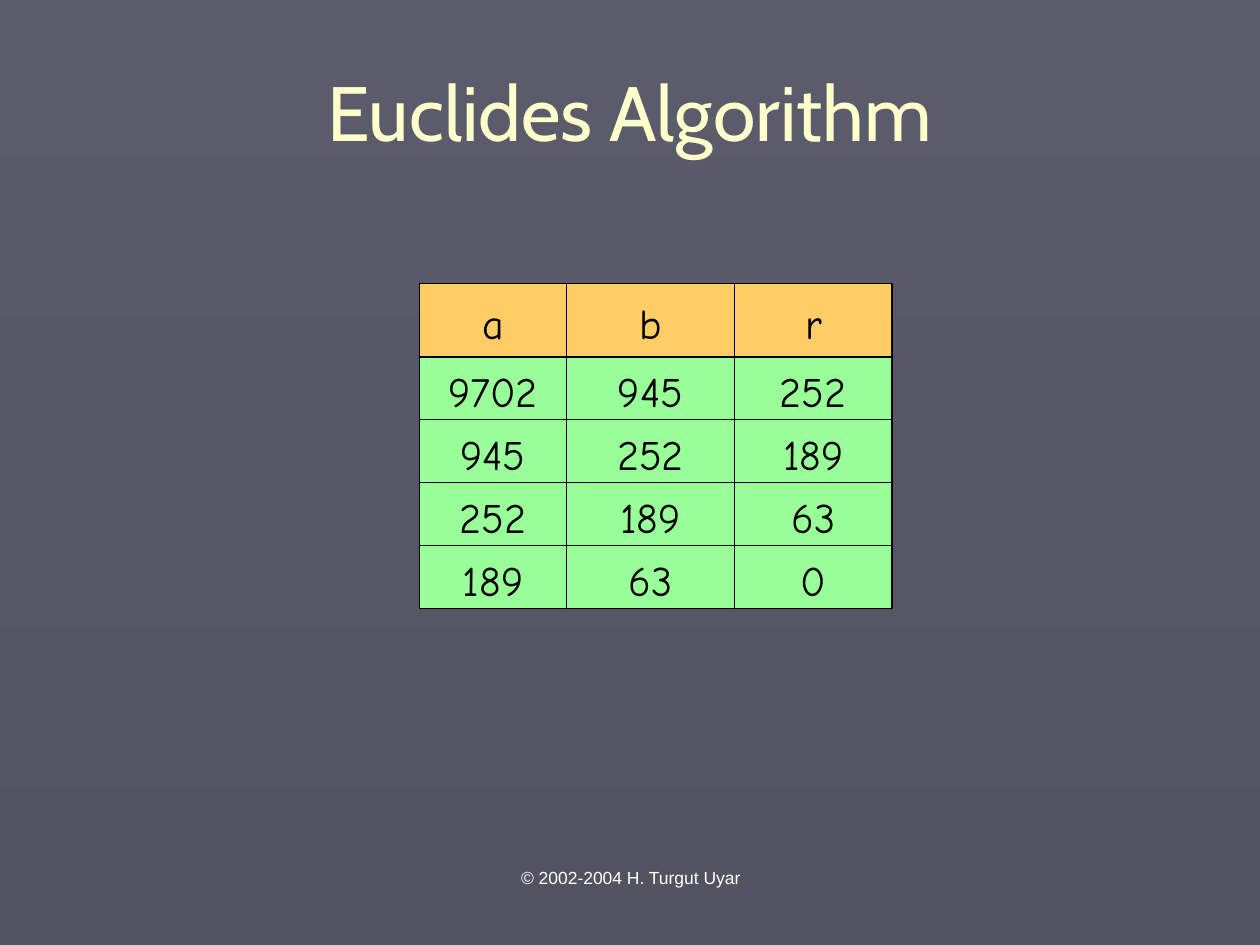
import itertools

import pptx
import pptx.util
import pptx.dml.color
import pptx.enum.shapes
import pptx.enum.text

COLORS = {
    "background_top": "5A5C6C",
    "background_bottom": "515361",
    "title": "FFFFCC",
    "header": "FFCC66",
    "body": "99FF99",
    "ink": "000000",
    "footer": "FFFFFF",
}
STEPS = [
    ("a", "b", "r"),
    ("9702", "945", "252"),
    ("945", "252", "189"),
    ("252", "189", "63"),
    ("189", "63", "0"),
]
COLUMN_SHARES = (14, 16, 15)
ROW_SHARES = (7, 6, 6, 6, 6)
Inches = pptx.util.Inches
Pt = pptx.util.Pt
CENTER = pptx.enum.text.PP_ALIGN.CENTER
MIDDLE = pptx.enum.text.MSO_ANCHOR.MIDDLE
RECTANGLE = pptx.enum.shapes.MSO_SHAPE.RECTANGLE


def color(name):
    return pptx.dml.color.RGBColor.from_string(COLORS[name])


def write(text_frame, text, font_name, size, color_name):
    text_frame.text = text
    paragraph = text_frame.paragraphs[0]
    paragraph.alignment = CENTER
    paragraph.font.name = font_name
    paragraph.font.size = Pt(size)
    paragraph.font.color.rgb = color(color_name)
    return paragraph


def paint_background(slide):
    fill = slide.background.fill
    fill.gradient()
    fill.gradient_angle = 270
    for stop, name in zip(fill.gradient_stops, ("background_top", "background_bottom")):
        stop.color.rgb = color(name)


def place_title(slide, left, top, width, height):
    title = slide.shapes.title
    title.left, title.top, title.width, title.height = map(Inches, (left, top, width, height))
    title.text_frame.vertical_anchor = MIDDLE
    write(title.text_frame, "Euclides Algorithm", "Cabin", 44, "title")


def edges(start, length, shares):
    """Cut a length by shares and return the positions of all the cuts."""
    return [start + length * total / sum(shares)
            for total in itertools.accumulate(shares, initial=0)]


def place_cell(group, value, fill_name, left, top, right, bottom):
    cell = group.shapes.add_shape(
        RECTANGLE, *map(Inches, (left, top, right - left, bottom - top)))
    cell.shadow.inherit = False
    cell.fill.solid()
    cell.fill.fore_color.rgb = color(fill_name)
    cell.line.color.rgb = color("ink")
    cell.line.width = Pt(0.75)
    cell.text_frame.word_wrap = False
    cell.text_frame.vertical_anchor = MIDDLE
    paragraph = write(cell.text_frame, value, "Comic Neue", 24, "ink")
    paragraph.line_spacing = 1.1
    paragraph.space_before = Pt(6)


def place_steps(slide, left, top, width, height):
    """Stack one group of cells for each step of the algorithm."""
    columns = list(itertools.pairwise(edges(left, width, COLUMN_SHARES)))
    rows = itertools.pairwise(edges(top, height, ROW_SHARES))
    for index, (values, (row_top, row_bottom)) in enumerate(zip(STEPS, rows)):
        group = slide.shapes.add_group_shape()
        fill_name = "body" if index else "header"
        for value, (cell_left, cell_right) in zip(values, columns):
            place_cell(group, value, fill_name, cell_left, row_top, cell_right, row_bottom)


def place_footer(slide, left, top, width, height):
    footer = slide.shapes.add_textbox(*map(Inches, (left, top, width, height)))
    footer.text_frame.word_wrap = True
    write(footer.text_frame, "© 2002-2004 H. Turgut Uyar", "Arial", 10, "footer")


def main():
    presentation = pptx.Presentation()
    presentation.slide_width, presentation.slide_height = Inches(10), Inches(7.5)
    slide = presentation.slides.add_slide(presentation.slide_layouts[5])
    paint_background(slide)
    place_title(slide, 0.33, 0.25, 9.34, 1.25)
    place_steps(slide, 3.33, 2.25, 3.75, 2.58)
    place_footer(slide, 3.42, 6.83, 3.17, 0.52)
    presentation.save("out.pptx")


if __name__ == "__main__":
    main()
